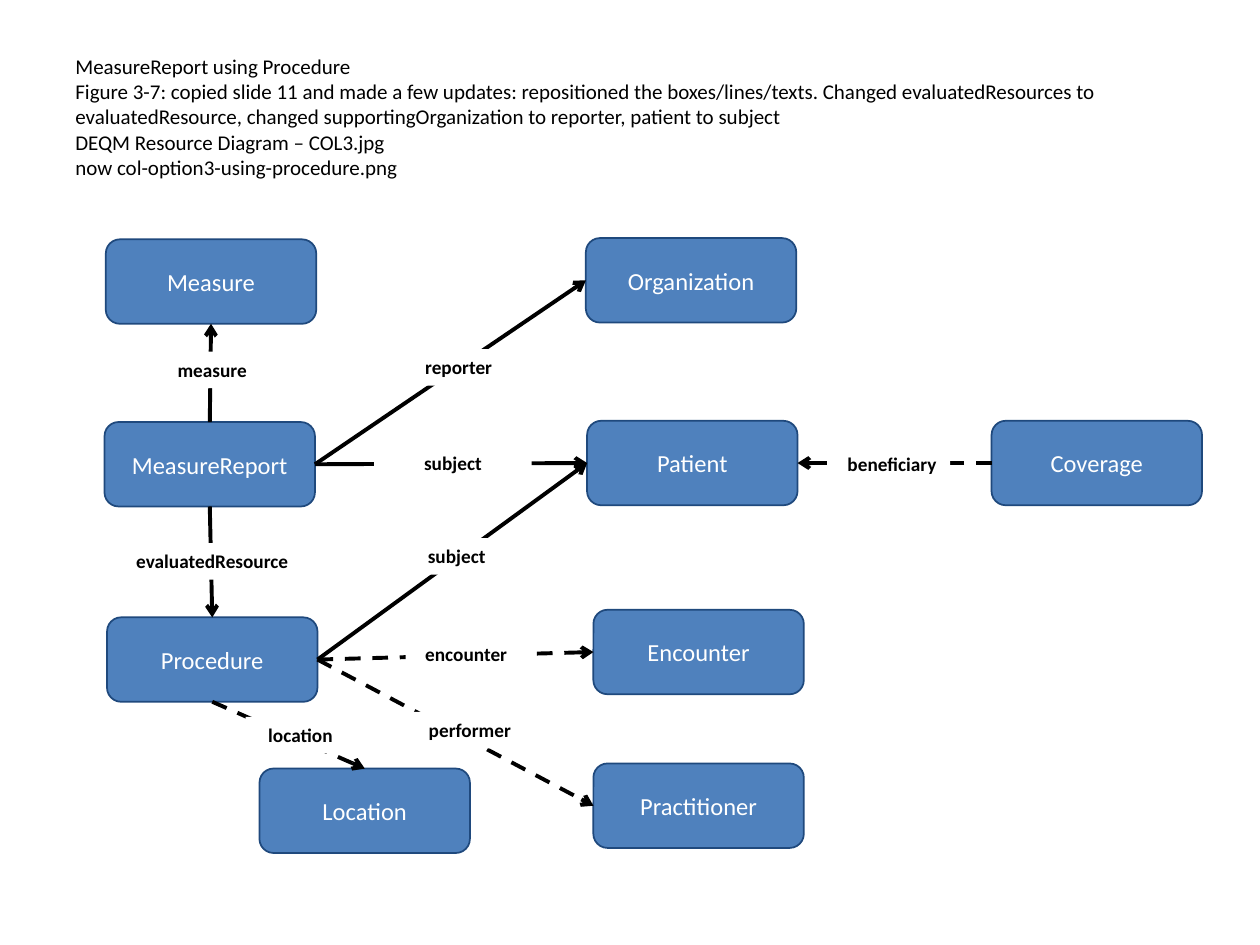
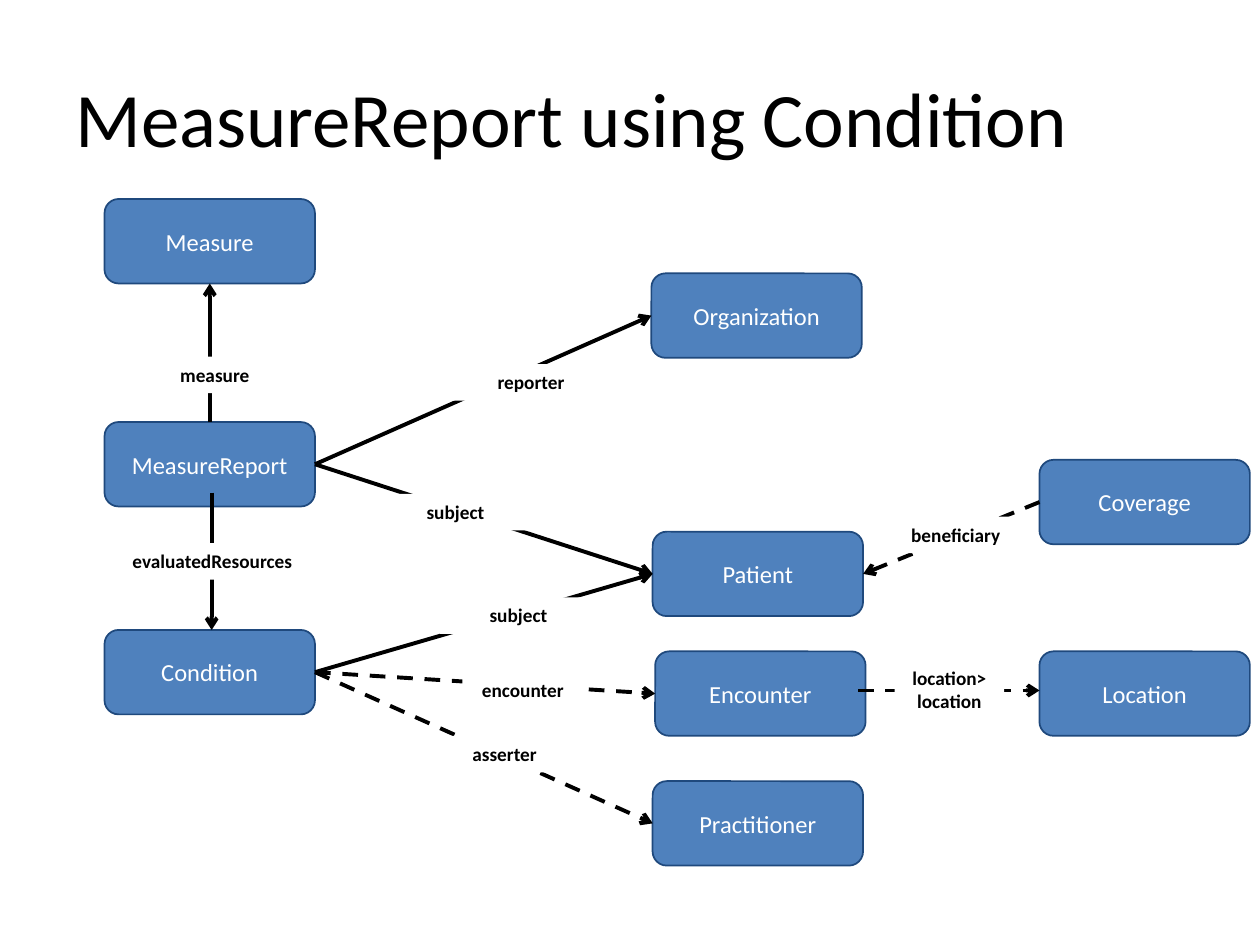
from lxml import etree
from pptx import Presentation, util as u
from pptx.dml.color import RGBColor
from pptx.enum import dml, shapes, text
from pptx.oxml.ns import qn

FONT = "Calibri"
INK, PAPER, BLUE, NAVY = "000000", "FFFFFF", "4F81BD", "1F497D"
BOX_W, BOX_H = 1.67, 0.67
TOP, LEFT, LOW, RIGHT = range(4)

PROC = {
    "title": ("MeasureReport using Procedure\v"
              "Figure 3-7: copied slide 11 and made a few updates: repositioned the "
              "boxes/lines/texts. Changed evaluatedResources to evaluatedResource, "
              "changed supportingOrganization to reporter, patient to subject \v"
              "DEQM Resource Diagram – COL3.jpg \v"
              "now col-option3-using-procedure.png"),
    "size": 12,
    "boxes": {
        "Measure": (0.84, 1.9),
        "MeasureReport": (0.83, 3.35),
        "Procedure": (0.85, 4.9),
        "Organization": (4.65, 1.89),
        "Patient": (4.66, 3.34),
        "Practitioner": (4.71, 6.06),
        "Encounter": (4.71, 4.84),
        "Location": (2.06, 6.1),
        "Coverage": (7.87, 3.34),
    },
    "solid": [
        (("MeasureReport", TOP), ("Measure", LOW)),
        (("MeasureReport", LOW), ("Procedure", TOP)),
        (("MeasureReport", RIGHT), ("Organization", LEFT)),
        (("MeasureReport", RIGHT), ("Patient", LEFT)),
        (("Procedure", RIGHT), ("Patient", LEFT)),
    ],
    "dashed": [
        (("Procedure", RIGHT), ("Encounter", LEFT)),
        (("Procedure", RIGHT), ("Practitioner", LEFT)),
        (("Procedure", LOW), ("Location", TOP)),
        (("Coverage", LEFT), ("Patient", RIGHT)),
    ],
    "labels": [
        ("measure", 1.06, 2.79, 1.25),
        ("reporter", 3.23, 2.77, 0.82),
        ("evaluatedResource", 0.79, 4.31, 1.79),
        ("subject", 2.97, 3.53, 1.25),
        ("subject", 3, 4.27, 1.25),
        ("performer", 3.01, 5.65, 1.44),
        ("encounter", 3.22, 5.05, 0.96),
        ("beneficiary", 6.62, 3.54, 0.92),
        ("location", 1.95, 5.69, 0.87),
    ],
}

COND = {
    "title": "MeasureReport using Condition",
    "size": 44,
    "boxes": {
        "Measure": (0.83, 1.58),
        "MeasureReport": (0.83, 3.35),
        "Condition": (0.83, 5),
        "Organization": (5.17, 2.17),
        "Patient": (5.18, 4.22),
        "Practitioner": (5.18, 6.2),
        "Encounter": (5.2, 5.17),
        "Location": (8.25, 5.17),
        "Coverage": (8.25, 3.65),
    },
    "solid": [
        (("MeasureReport", TOP), ("Measure", LOW)),
        ((1.68, 3.91), (1.68, 5)),
        (("MeasureReport", RIGHT), ("Organization", LEFT)),
        (("MeasureReport", RIGHT), ("Patient", LEFT)),
        (("Condition", RIGHT), ("Patient", LEFT)),
    ],
    "dashed": [
        (("Condition", RIGHT), ("Encounter", LEFT)),
        (("Condition", RIGHT), ("Practitioner", LEFT)),
        ((6.81, 5.48), (8.25, 5.48)),
        (("Coverage", LEFT), ("Patient", RIGHT)),
    ],
    "labels": [
        ("measure", 1.08, 2.83, 1.25),
        ("reporter", 3.3, 2.89, 1.83),
        ("evaluatedResources", 0.79, 4.31, 1.79),
        ("subject", 2.99, 3.92, 1.25),
        ("subject", 3.49, 4.74, 1.25),
        ("asserter", 3.38, 5.84, 1.25),
        ("encounter", 3.67, 5.33, 0.96),
        ("beneficiary", 7.09, 4.1, 0.99),
        ("location>\nlocation", 7.1, 5.24, 0.87),
    ],
}


def color(code):
    """Turn a hex string into a colour."""
    return RGBColor.from_string(code)


def write(shape, words, size, ink, align, anchor, bold=False):
    """Put styled text into a shape."""
    frame = shape.text_frame
    frame.word_wrap = True
    frame.vertical_anchor = anchor
    frame.text = words
    for para in frame.paragraphs:
        para.alignment = align
        font = para.font
        font.name, font.size, font.bold = FONT, u.Pt(size), bold
        font.color.rgb = color(ink)


def add_title(slide, words, size):
    """Add the slide title."""
    box = slide.shapes.add_textbox(*map(u.Inches, (0.5, 0.3, 9, 1.25)))
    write(box, words, size, INK, text.PP_ALIGN.LEFT, text.MSO_ANCHOR.MIDDLE)


def add_shape(slide, kind, area, fill):
    """Add a flat filled shape."""
    shape = slide.shapes.add_shape(kind, *map(u.Inches, area))
    shape.shadow.inherit = False
    shape.fill.solid()
    shape.fill.fore_color.rgb = color(fill)
    return shape


def add_box(slide, name, left, top):
    """Add a resource box."""
    kind = shapes.MSO_SHAPE.FLOWCHART_ALTERNATE_PROCESS
    box = add_shape(slide, kind, (left, top, BOX_W, BOX_H), BLUE)
    box.line.color.rgb = color(NAVY)
    box.line.width = u.Pt(1)
    write(box, name, 14, PAPER, text.PP_ALIGN.CENTER, text.MSO_ANCHOR.MIDDLE)
    return box


def add_label(slide, words, left, top, width):
    """Add a white label that interrupts an arrow."""
    height = 0.11 + 0.18 * len(words.split("\n"))
    tag = add_shape(slide, shapes.MSO_SHAPE.RECTANGLE, (left, top, width, height), PAPER)
    tag.line.fill.background()
    tag.text_frame.margin_left = tag.text_frame.margin_right = 0
    write(tag, words, 11, INK, text.PP_ALIGN.CENTER, text.MSO_ANCHOR.TOP, True)


def add_arrow(slide, boxes, start, end, dashed):
    """Join two box sides, or two points, with an arrow."""
    glued = start[0] in boxes
    ends = (0, 0, 0, 0) if glued else (*start, *end)
    line = slide.shapes.add_connector(shapes.MSO_CONNECTOR.STRAIGHT, *map(u.Inches, ends))
    if glued:
        line.begin_connect(boxes[start[0]], start[1])
        line.end_connect(boxes[end[0]], end[1])
    line.line.color.rgb = color(INK)
    line.line.width = u.Pt(2.25)
    if dashed:
        line.line.dash_style = dml.MSO_LINE.DASH
    props = line._element.spPr
    etree.SubElement(props.find(qn("a:ln")), qn("a:tailEnd"), type="arrow")
    etree.SubElement(props, qn("a:effectLst"))


def add_graph(deck, data):
    """Add a slide with one resource diagram."""
    slide = deck.slides.add_slide(deck.slide_layouts[6])
    add_title(slide, data["title"], data["size"])
    boxes = {name: add_box(slide, name, *spot) for name, spot in data["boxes"].items()}
    for style in ("solid", "dashed"):
        for start, end in data[style]:
            add_arrow(slide, boxes, start, end, style == "dashed")
    for label in data["labels"]:
        add_label(slide, *label)


def main():
    """Build and save the deck."""
    deck = Presentation()
    deck.slide_width, deck.slide_height = u.Inches(10), u.Inches(7.5)
    for data in (PROC, COND):
        add_graph(deck, data)
    deck.save("out.pptx")


main()
